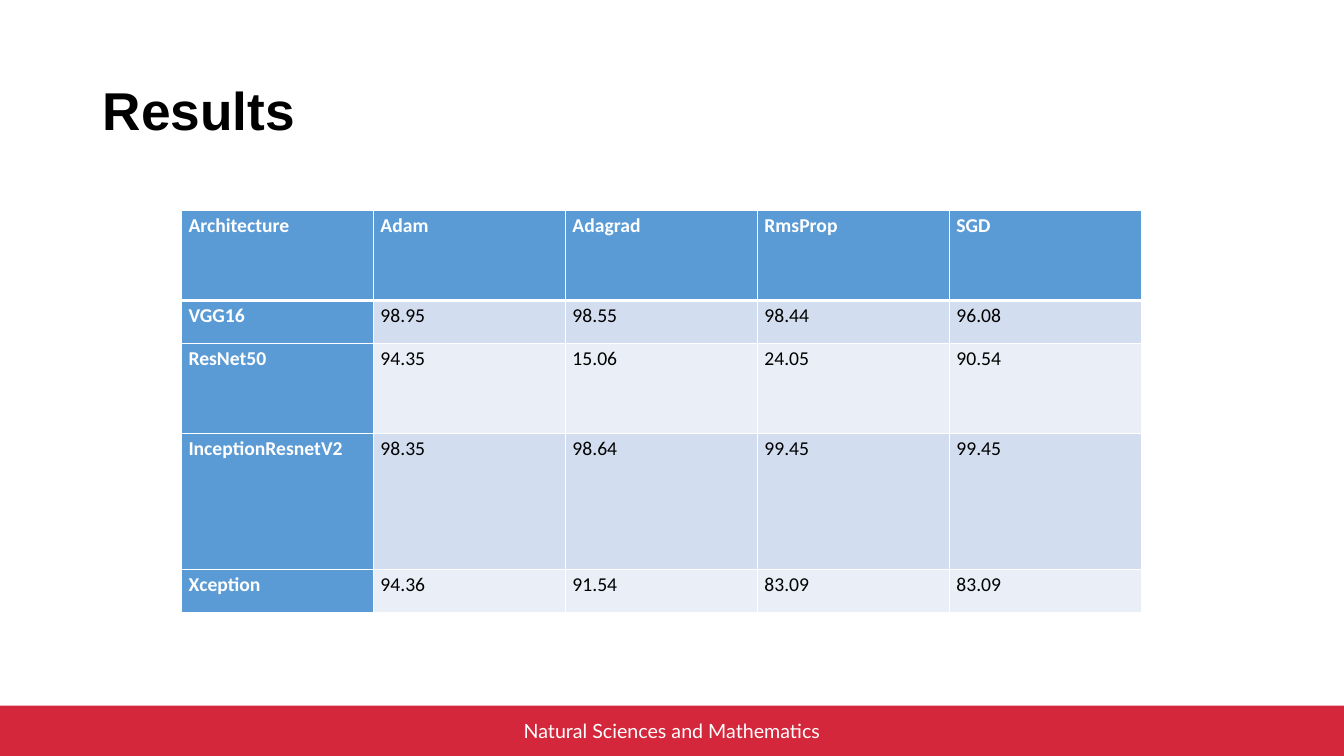
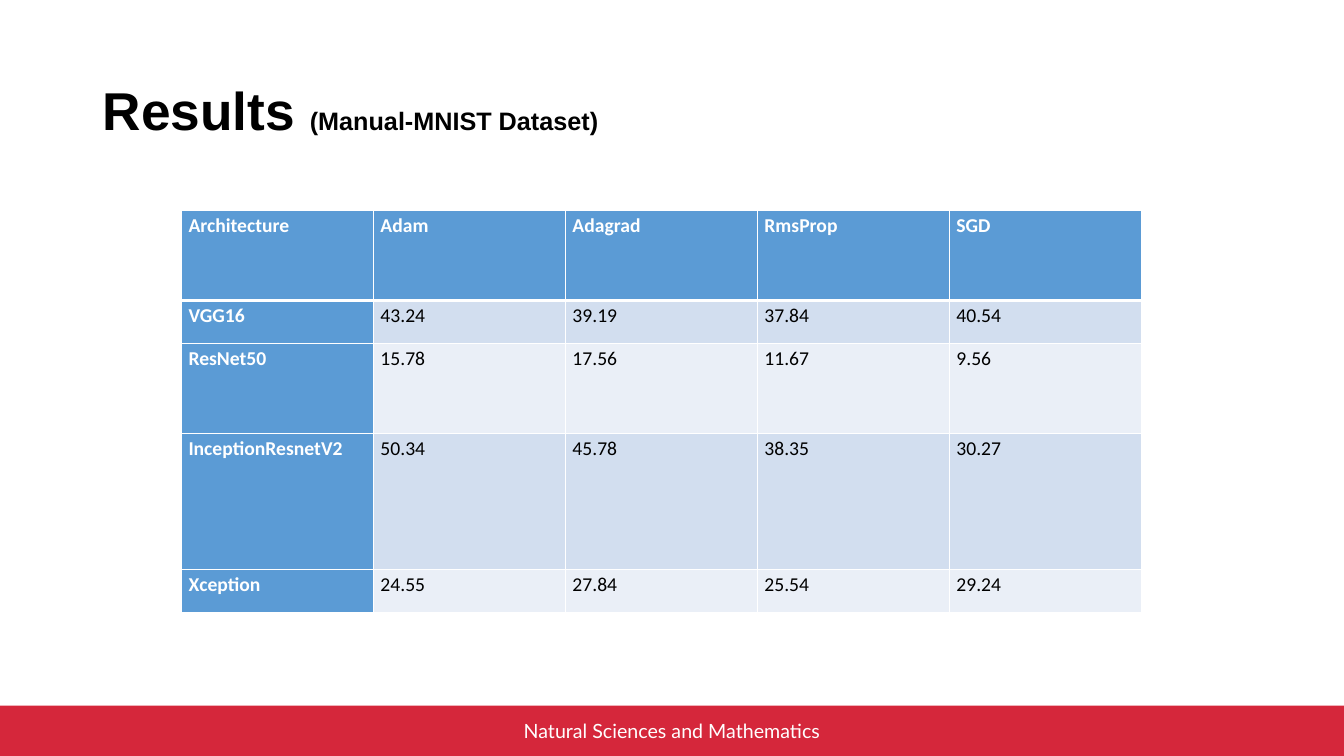
from lxml import etree
from pptx import Presentation
from pptx import util as u
from pptx.dml import color
from pptx.enum import shapes, text
from pptx.oxml import ns

RED, BLUE, WHITE, BLACK = "D5273B", "5B9BD5", "FFFFFF", "000000"
BANDS = ["D2DEEF", "EAEFF7"]
ALIGN = text.PP_ALIGN


def tint(code):
    return color.RGBColor.from_string(code)


def paint(item, code):
    item.fill.solid()
    item.fill.fore_color.rgb = tint(code)


def write(frame, words, size=14, font="Calibri", ink=BLACK, bold=False,
          align=ALIGN.LEFT, lead=1.0, after=0):
    """Add a run to the first paragraph and format both."""
    para = frame.paragraphs[0]
    para.alignment, para.line_spacing = align, lead
    para.space_after = u.Pt(after)
    run = para.add_run()
    run.text = words
    run.font.size, run.font.name, run.font.bold = u.Pt(size), font, bold
    run.font.color.rgb = tint(ink)


def edge(cell, **widths):
    """Draw white cell borders; call before the fill is set."""
    props = cell._tc.get_or_add_tcPr()
    for side in "LRTB":
        line = etree.SubElement(props, ns.qn("a:ln" + side),
                                w=str(u.Pt(widths.get(side, 1))))
        fill = etree.SubElement(line, ns.qn("a:solidFill"))
        etree.SubElement(fill, ns.qn("a:srgbClr"), val=WHITE)


class Deck:
    def __init__(self):
        self.show = Presentation()
        self.show.slide_width = u.Inches(13.33)
        self.show.slide_height = u.Inches(7.5)
        self.slide = None

    def page(self, title, note=None):
        self.slide = self.show.slides.add_slide(self.show.slide_layouts[6])
        paint(self.slide.background, WHITE)
        self.band("Natural Sciences and Mathematics")
        self.title(title, note)

    def band(self, words):
        bar = self.slide.shapes.add_shape(
            shapes.MSO_SHAPE.RECTANGLE, 0, u.Inches(7),
            self.show.slide_width, u.Inches(0.5))
        bar.shadow.inherit = False
        paint(bar, RED)
        bar.line.fill.background()
        bar.text_frame.vertical_anchor = text.MSO_ANCHOR.MIDDLE
        write(bar.text_frame, words, font="Lato", ink=WHITE,
              align=ALIGN.CENTER)

    def title(self, words, note):
        box = self.slide.shapes.add_textbox(
            u.Inches(0.92), u.Inches(0.4), u.Inches(11.5), u.Inches(1.45))
        frame = box.text_frame
        frame.word_wrap = True
        frame.vertical_anchor = text.MSO_ANCHOR.MIDDLE
        style = dict(font="Arial", bold=True, lead=0.9)
        write(frame, words + " " if note else words, size=38, **style)
        if note:
            write(frame, note, size=18, **style)

    def table(self, rows, highs, wide=9.52):
        grid = self.slide.shapes.add_table(
            len(rows), len(rows[0]), u.Inches(1.8), u.Inches(2.09),
            u.Inches(wide), u.Inches(sum(highs))).table
        grid.first_col = True
        for row, high in zip(grid.rows, highs):
            row.height = u.Inches(high)
        for r, row in enumerate(rows):
            for c, words in enumerate(row):
                self.cell(grid.cell(r, c), words, r, c)

    def cell(self, cell, words, r, c):
        head = r == 0 or c == 0
        cell.margin_left = cell.margin_right = u.Inches(0.07)
        cell.margin_top = cell.margin_bottom = 0
        # The rule under the header is thicker
        edge(cell, T=3 if r == 1 else 1, B=3 if r == 0 else 1)
        paint(cell, BLUE if head else BANDS[(r - 1) % 2])
        write(cell.text_frame, words, ink=WHITE if head else BLACK,
              bold=head, align=ALIGN.JUSTIFY, lead=1.15, after=12)


# Content
HEADS = ["Architecture", "Adam", "Adagrad", "RmsProp", "SGD"]
NETS = ["VGG16", "ResNet50", "InceptionResnetV2", "Xception"]
HIGHS = [0.89, 0.43, 0.89, 1.35, 0.43]
PAGES = [
    (None, [[98.95, 98.55, 98.44, 96.08],
            [94.35, 15.06, 24.05, 90.54],
            [98.35, 98.64, 99.45, 99.45],
            [94.36, 91.54, 83.09, 83.09]]),
    ("(Manual-MNIST Dataset)", [[43.24, 39.19, 37.84, 40.54],
                                [15.78, 17.56, 11.67, 9.56],
                                [50.34, 45.78, 38.35, 30.27],
                                [24.55, 27.84, 25.54, 29.24]]),
]

# Slides
deck = Deck()
for note, scores in PAGES:
    deck.page("Results", note)
    body = [[net] + [f"{x:.2f}" for x in row]
            for net, row in zip(NETS, scores)]
    deck.table([HEADS] + body, HIGHS)

deck.show.save("out.pptx")
